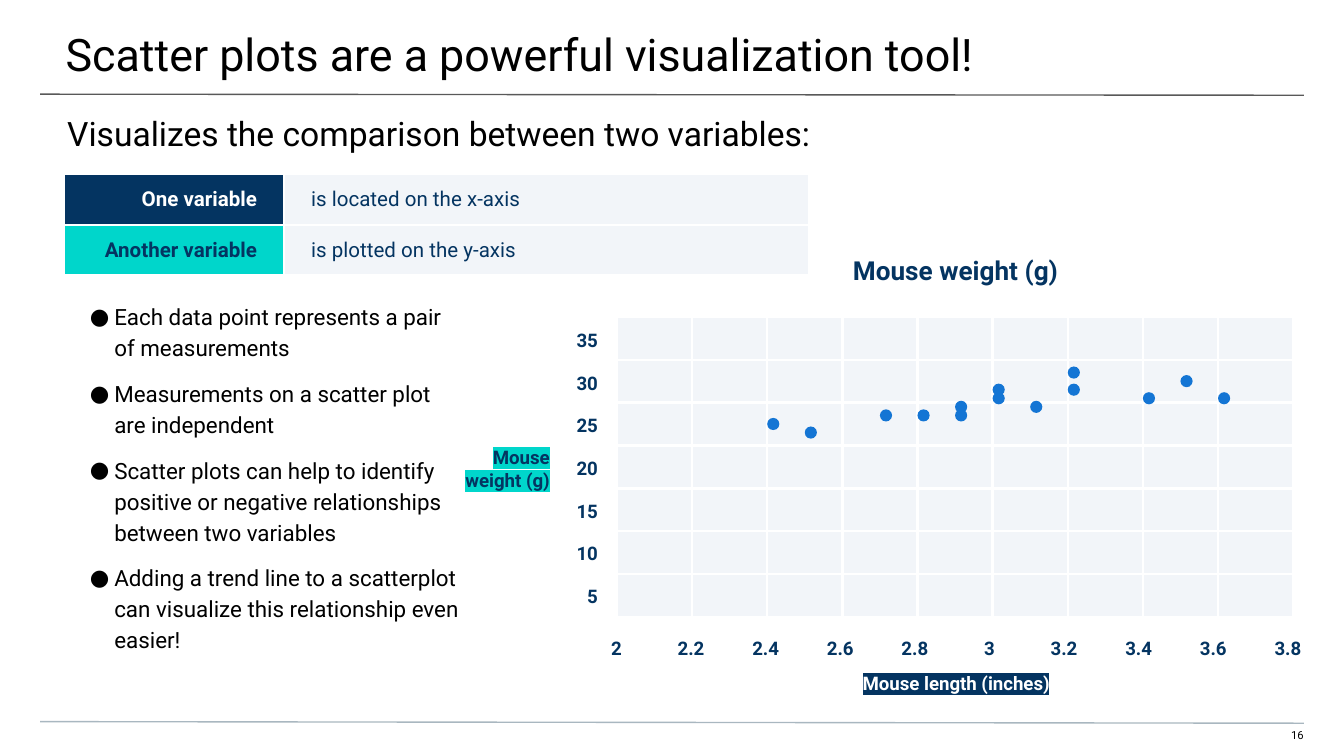
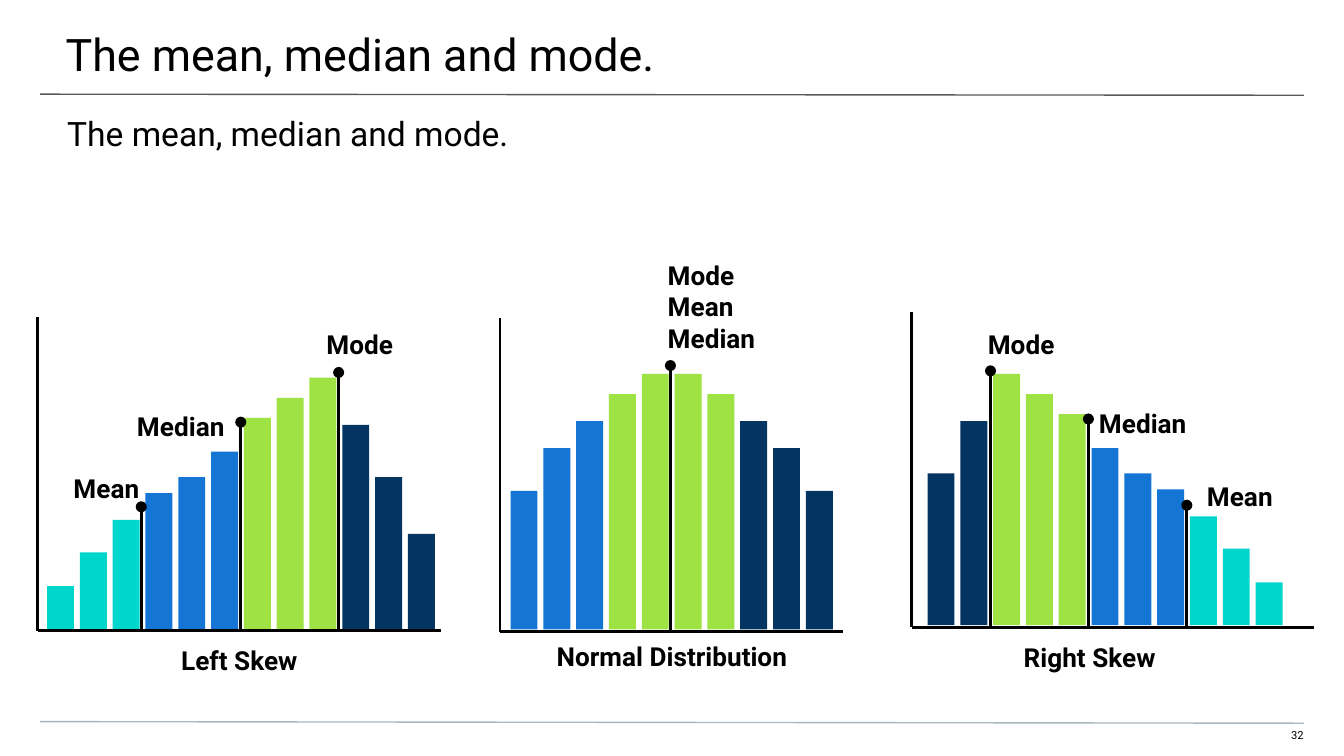
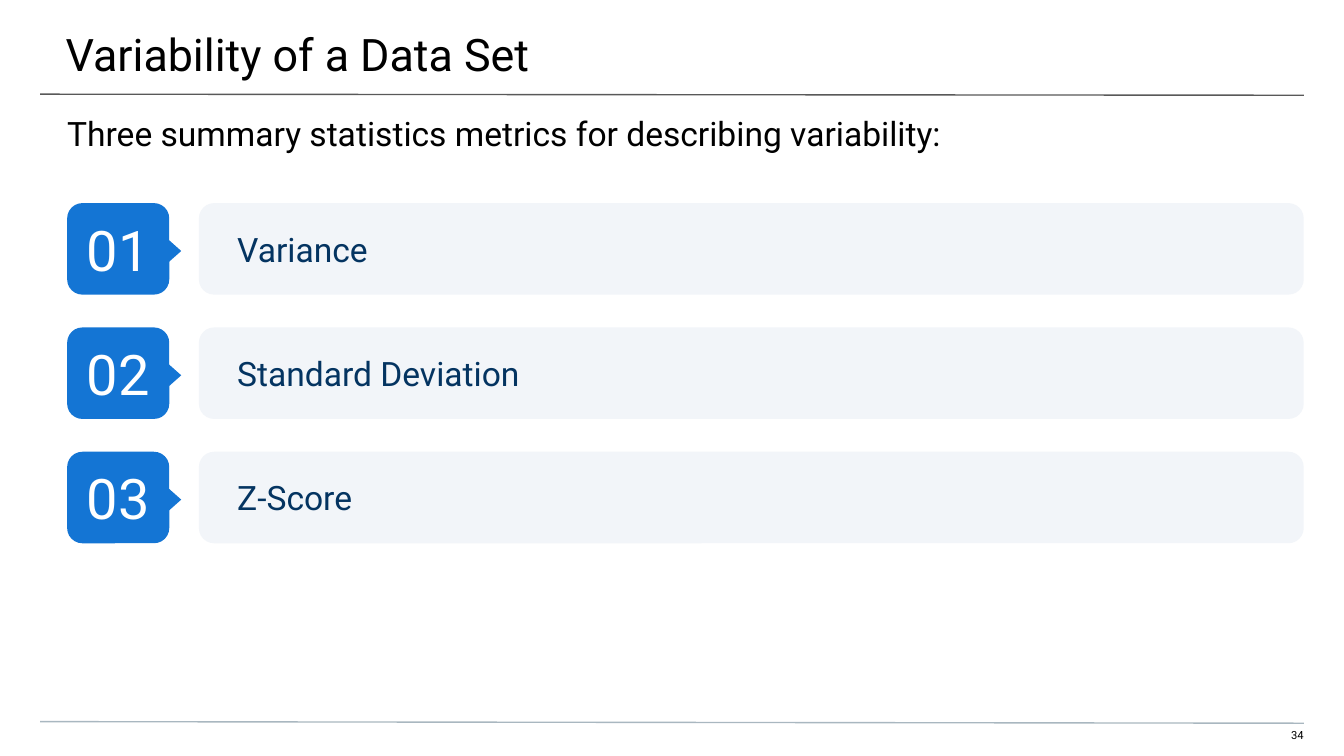
from lxml import etree
from pptx import Presentation
from pptx import util as u
from pptx.dml.color import RGBColor
from pptx.enum import shapes, text
from pptx.oxml.ns import qn

FONT = "Roboto"
HUES = {
    "black": "000000", "white": "FFFFFF", "navy": "043461", "blue": "1475D4",
    "teal": "00D6CB", "lime": "9EE244", "pale": "F2F5F9",
    "rule": "595959", "foot": "A9B7C0",
}
KIND = shapes.MSO_SHAPE
LEFT, MID, RIGHT = text.PP_ALIGN.LEFT, text.PP_ALIGN.CENTER, text.PP_ALIGN.RIGHT
TOP, HALF = text.MSO_ANCHOR.TOP, text.MSO_ANCHOR.MIDDLE
PAD = (0.25, 0.25, 0.25, 0.25)

PAIRS = [(2.4, 25), (2.5, 24), (2.7, 26), (2.8, 26), (2.9, 26), (2.9, 27),
         (3, 29), (3, 28), (3.1, 27), (3.2, 31), (3.2, 29), (3.4, 28),
         (3.5, 30), (3.6, 28)]
POINTS = [
    "Each data point represents a pair of measurements",
    "Measurements on a scatter plot are independent",
    "Scatter plots can help to identify positive or negative relationships "
    "between two variables",
    "Adding a trend line to a scatterplot can visualize this relationship even easier!",
]
SKEW = [0.81, 1.45, 2.06, 2.57, 2.87, 3.35, 3.99, 4.37, 4.75, 3.86, 2.87, 1.8]
TINTS = [hue for hue in ("teal", "blue", "lime", "navy") for _ in range(3)]
RISE = [2.62, 3.43, 3.94, 4.45, 4.83]
BELL = ["blue"] * 3 + ["lime"] * 4 + ["navy"] * 3


def rgb(hue):
    return RGBColor.from_string(HUES[hue])


def box(*nums):
    return [u.Cm(n) for n in nums]


def sub(node, tag, **attrs):
    return etree.SubElement(node, qn(tag), attrs)


def tint(node, hue):
    sub(sub(node, "a:solidFill"), "a:srgbClr", val=HUES[hue])


def write(frame, words, size, hue="black", bold=False, align=LEFT, pad=PAD,
          anchor=TOP, lead=None, gap=0):
    frame.text = words
    frame.word_wrap = True
    frame.auto_size = text.MSO_AUTO_SIZE.NONE
    frame.vertical_anchor = anchor
    (frame.margin_left, frame.margin_top,
     frame.margin_right, frame.margin_bottom) = box(*pad)
    for i, para in enumerate(frame.paragraphs):
        style(para, size, hue, bold, align)
        para.space_before = u.Pt(gap if i else 0)
        if lead:
            para.line_spacing = lead


def style(para, size, hue, bold, align):
    para.alignment = align
    for run in para.runs:
        run.font.name = FONT
        run.font.size = u.Pt(size)
        run.font.bold = bold
        run.font.color.rgb = rgb(hue)


def label(slide, place, words, size, **look):
    area = slide.shapes.add_textbox(*box(*place))
    write(area.text_frame, words, size, **look)
    return area.text_frame


def mark(frame, hue):
    for run in frame.paragraphs[0].runs:
        fill = run._r.rPr.find(qn("a:solidFill"))
        glow = etree.Element(qn("a:highlight"))
        sub(glow, "a:srgbClr", val=HUES[hue])
        fill.addnext(glow)


def block(slide, kind, place, hue):
    item = slide.shapes.add_shape(kind, *box(*place))
    item.shadow.inherit = False
    item.fill.solid()
    item.fill.fore_color.rgb = rgb(hue)
    item.line.fill.background()
    return item


def line(slide, ends, hue="black", width=1.5, knob=False):
    item = slide.shapes.add_connector(shapes.MSO_CONNECTOR.STRAIGHT, *box(*ends))
    item.line.color.rgb = rgb(hue)
    item.line.width = u.Pt(width)
    if knob:
        sub(item.line._get_or_add_ln(), "a:headEnd", type="oval")
    sub(item._element.spPr, "a:effectLst")


def grid(slide, left, top, wides, highs):
    frame = slide.shapes.add_table(len(highs), len(wides),
                                   *box(left, top, sum(wides), sum(highs)))
    table = frame.table
    table.first_row = table.horz_banding = False
    for col, wide in zip(table.columns, wides):
        col.width = u.Cm(wide)
    for row, high in zip(table.rows, highs):
        row.height = u.Cm(high)
    for cell in table.iter_cells():
        paint(cell, "pale")
    return table


def paint(cell, hue):
    cell.margin_left = cell.margin_top = cell.margin_right = cell.margin_bottom = 0
    props = cell._tc.get_or_add_tcPr()
    if props.find(qn("a:lnL")) is None:
        for side in "LRTB":
            tint(sub(props, "a:ln" + side, w=str(u.Pt(1.5))), "white")
    cell.fill.solid()
    cell.fill.fore_color.rgb = rgb(hue)


def page(deck, layout, title, lead, number):
    slide = deck.slides.add_slide(deck.slide_layouts[layout])
    line(slide, (0.76, 1.78, 24.64, 1.8), "rule", 0.75)
    line(slide, (0.76, 13.64, 24.64, 13.67), "foot", 0.75)
    label(slide, (23.9, 13.77, 0.74, 0.3), number, 6, align=RIGHT, pad=(0, 0, 0, 0.25))
    head = hold(slide, 0, (-0.03, 0, 25.48, 1.47))
    write(head, title, 24, pad=(1.27, 0.51, 0.76, 0.25))
    body = hold(slide, 1, (0, 1.88, 25.4, 1.02))
    write(body, lead, 18, pad=(1.27, 0.25, 1.27, 0))
    props = body.paragraphs[0]._p.get_or_add_pPr()
    props.set("marL", "0")
    props.set("indent", "0")
    sub(props, "a:buNone")
    return slide


def hold(slide, index, place):
    item = slide.placeholders[index]
    item.left, item.top, item.width, item.height = box(*place)
    return item.text_frame


def bullets(slide, items):
    frame = hold(slide, 2, (0, 5.66, 9.95, 5.21))
    write(frame, "\n".join(items), 12, pad=(1.27, 0, 1.27, 2.54), lead=1.15, gap=8)
    for para in frame.paragraphs:
        props = para._p.get_or_add_pPr()
        props.set("marL", str(u.Cm(0.89)))
        props.set("indent", str(u.Cm(-0.46)))
        sub(sub(props, "a:buClr"), "a:srgbClr", val=HUES["black"])
        sub(props, "a:buFont", typeface=FONT)
        sub(props, "a:buChar", char="●")


def legend(slide):
    table = grid(slide, 1.2, 3.29, [4.17, 9.92], [0.96, 0.96])
    rows = [("One variable", "is located on the x-axis", "navy", "white"),
            ("Another variable", "is plotted on the y-axis", "teal", "navy")]
    for i, (name, note, back, ink) in enumerate(rows):
        paint(table.cell(i, 0), back)
        for j, (words, hue, align) in enumerate([(name, ink, RIGHT), (note, "navy", LEFT)]):
            cell = table.cell(i, j)
            cell.text = words
            cell.margin_left = cell.margin_right = u.Cm(0.51)
            cell.margin_top = cell.margin_bottom = u.Cm(0.25)
            style(cell.text_frame.paragraphs[0], 11, hue, j == 0, align)


def scatter(slide):
    left, top, wide, high, dot = 11.66, 5.99, 1.42, 0.81, 0.23
    grid(slide, left, top, [wide] * 9, [high] * 7)
    for size, mass in PAIRS:
        x = left + (size - 2) / 0.2 * wide
        y = top + high / 2 + (35 - mass) / 5 * high
        block(slide, KIND.OVAL, (x, y - dot / 2, dot, dot), "blue")
    bold = {"hue": "navy", "bold": True}
    label(slide, (left, 4.55, 12.8, 1.12), "Mouse weight (g)", 14, align=MID, **bold)
    side = label(slide, (8.15, 8.18, 2.49, 1.37), "Mouse weight (g)", 10,
                 align=RIGHT, **bold)
    mark(side, "teal")
    base = label(slide, (15.29, 12.45, 5.56, 0.94), "Mouse length (inches)", 10,
                 hue="white", bold=True, align=MID)
    mark(base, "navy")
    ticks = [f"{2 + i / 5:g}" for i in range(10)]
    scale = label(slide, (11.3, 11.79, 13.79, 0.94), "\t".join(ticks), 10, **bold)
    stops = sub(scale.paragraphs[0]._p.get_or_add_pPr(), "a:tabLst")
    for i in range(1, 10):
        sub(stops, "a:tab", pos=str(u.Cm(0.1 + 1.41 * i)), algn="ctr")
    marks = "\n".join(str(n) for n in range(35, 0, -5))
    label(slide, (10.36, 5.59, 1.19, 5.82), marks, 10, align=RIGHT, lead=1.9, **bold)


def bars(slide, left, base, highs, hues):
    for i, (high, hue) in enumerate(zip(highs, hues)):
        block(slide, KIND.RECTANGLE, (left + 0.62 * i, base - high, 0.51, high), hue)


def axes(slide, left, top, right, base):
    line(slide, (left, base, left, top))
    line(slide, (left, base, right, base))


def stems(slide, base, tops):
    for x, y in tops:
        line(slide, (x, y, x, base), knob=True)


def names(slide, spots):
    for words, x, y in spots:
        label(slide, (x, y, 2.49, 1.02), words, 14, bold=True, anchor=HALF)


def title(slide, words, left, top, wide):
    label(slide, (left, top, wide, 1.02), words, 14, bold=True, align=MID, anchor=HALF)


def curves(slide):
    bars(slide, 0.89, 11.89, SKEW, TINTS)
    axes(slide, 0.71, 5.99, 8.33, 11.92)
    stems(slide, 11.9, [(2.67, 9.58), (4.55, 7.98), (6.4, 7.04)])
    names(slide, [("Mean", 1.14, 8.71), ("Median", 2.34, 7.54), ("Mode", 5.92, 5.99)])
    title(slide, "Left Skew", 0.64, 11.96, 7.77)

    bars(slide, 9.65, 11.9, RISE + RISE[::-1], BELL)
    axes(slide, 9.45, 6.02, 15.93, 11.94)
    stems(slide, 11.94, [(12.67, 6.91)])
    names(slide, [("Mode Mean Median", 12.37, 5.28)])
    title(slide, "Normal Distribution", 9.45, 11.89, 6.5)

    bars(slide, 17.53, 11.82, SKEW[10::-1], TINTS[10::-1])
    axes(slide, 17.23, 5.89, 24.84, 11.86)
    stems(slide, 11.86, [(18.72, 7.01), (20.57, 7.92), (22.43, 9.55)])
    names(slide, [("Mode", 18.42, 5.99), ("Median", 20.52, 7.49), ("Mean", 22.56, 8.86)])
    title(slide, "Right Skew", 16.71, 11.91, 7.77)


def steps(slide, items):
    for i, words in enumerate(items):
        top = 3.84 + 2.35 * i
        bar = block(slide, KIND.ROUNDED_RECTANGLE, (3.76, top, 20.88, 1.73), "pale")
        write(bar.text_frame, words, 18, hue="navy", anchor=HALF,
              pad=(0.64, 0.25, 0.25, 0.25))
        badge = block(slide, KIND.ROUNDED_RECTANGLE, (1.27, top, 1.93, 1.73), "blue")
        write(badge.text_frame, f"{i + 1:02}", 30, hue="white", align=MID, anchor=HALF)
        tip = block(slide, KIND.FLOWCHART_EXTRACT, (2.69, top + 0.64, 0.94, 0.53), "blue")
        tip.rotation = 90


def main():
    deck = Presentation()
    deck.slide_width, deck.slide_height = box(25.4, 14.29)

    slide = page(deck, 3, "Scatter plots are a powerful visualization tool!",
                 "Visualizes the comparison between two variables:", "16")
    scatter(slide)
    legend(slide)
    bullets(slide, POINTS)

    mean = "The mean, median and mode."
    curves(page(deck, 1, mean, mean, "32"))

    slide = page(deck, 1, "Variability of a Data Set",
                 "Three summary statistics metrics for describing variability:", "34")
    steps(slide, ["Variance", "Standard Deviation", "Z-Score"])

    deck.save("out.pptx")


if __name__ == "__main__":
    main()
